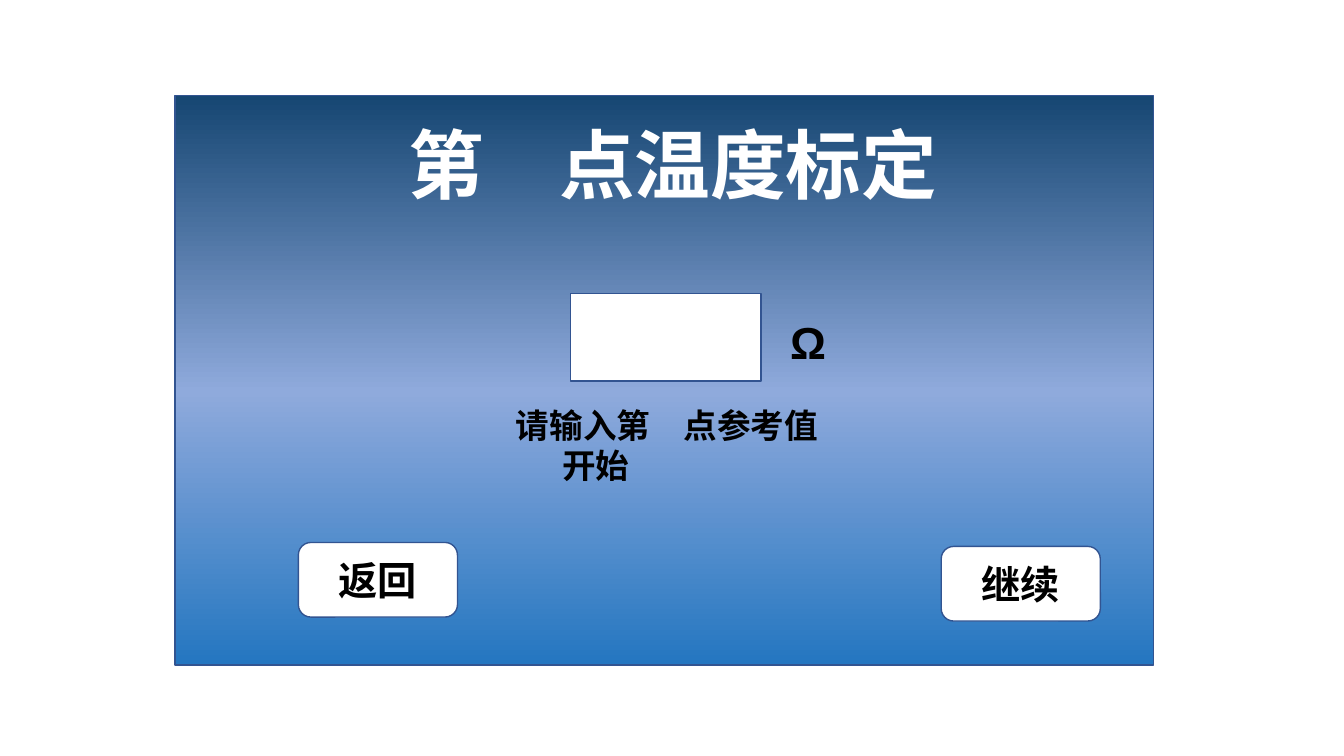
"""Build the temperature calibration screen slide."""
from copy import deepcopy
from dataclasses import dataclass

from lxml.etree import SubElement
from pptx import Presentation
from pptx.dml.color import RGBColor
from pptx.enum.shapes import MSO_SHAPE
from pptx.enum.text import MSO_ANCHOR, MSO_AUTO_SIZE, PP_ALIGN
from pptx.oxml.ns import qn
from pptx.shapes.autoshape import Shape
from pptx.slide import Slide
from pptx.text.text import TextFrame
from pptx.util import Cm, Pt

WHITE = RGBColor(0xFF, 0xFF, 0xFF)
BLACK = RGBColor(0x00, 0x00, 0x00)
OUTLINE = RGBColor(0x32, 0x54, 0x91)
NAVY = RGBColor(0x16, 0x46, 0x72)
PERIWINKLE = RGBColor(0x8F, 0xAA, 0xDC)
BLUE = RGBColor(0x24, 0x76, 0xC0)
CJK_FONT = "Noto Sans CJK SC"


@dataclass(frozen=True)
class Box:
    left: float
    top: float
    width: float
    height: float

    def lengths(self) -> tuple[Cm, Cm, Cm, Cm]:
        return Cm(self.left), Cm(self.top), Cm(self.width), Cm(self.height)


@dataclass(frozen=True)
class Line:
    text: str
    indent: float = 0


@dataclass(frozen=True)
class Style:
    size: int
    font: str = CJK_FONT
    color: RGBColor = BLACK
    align: PP_ALIGN = PP_ALIGN.LEFT


@dataclass(frozen=True)
class Label:
    box: Box
    lines: tuple[Line, ...]
    style: Style


@dataclass(frozen=True)
class Button:
    box: Box
    text: str


PANEL = Box(4.41, 2.41, 24.66, 14.35)
PANEL_STOPS = ((0, NAVY), (0.52, PERIWINKLE), (1, BLUE))
VALUE_FIELD = Box(14.38, 7.39, 4.8, 2.21)
BUTTON_STYLE = Style(28, align=PP_ALIGN.CENTER)
LABELS = (
    Label(Box(12.75, 10.08, 10.19, 2.31),
          (Line("请输入第　点参考值"), Line("开始", 1.17)), Style(24)),
    Label(Box(9.45, 2.84, 15, 2.57), (Line("第　点温度标定"),),
          Style(54, "Calibri", WHITE, PP_ALIGN.CENTER)),
    Label(Box(19.66, 7.8, 2.72, 1.63), (Line("Ω"),), Style(32, "Arial")),
)
BUTTONS = (
    Button(Box(7.52, 13.67, 4.01, 1.88), "返回"),
    Button(Box(23.72, 13.77, 4.01, 1.88), "继续"),
)


def write_lines(tf: TextFrame, lines: tuple[Line, ...], style: Style) -> None:
    for i, line in enumerate(lines):
        p = tf.add_paragraph() if i else tf.paragraphs[0]
        p.text = line.text
        p.alignment = style.align
        p.font.size = Pt(style.size)
        p.font.bold = True
        p.font.name = style.font
        p.font.color.rgb = style.color
        pPr = p._p.get_or_add_pPr()
        SubElement(pPr.find(qn("a:defRPr")), qn("a:ea"), typeface=CJK_FONT)
        if line.indent:
            pPr.set("marL", str(Cm(line.indent)))


def add_box(s: Slide, kind: MSO_SHAPE, box: Box) -> Shape:
    sp = s.shapes.add_shape(kind, *box.lengths())
    sp.shadow.inherit = False
    sp.fill.solid()
    sp.fill.fore_color.rgb = WHITE
    sp.line.color.rgb = OUTLINE
    sp.line.width = Pt(1)
    return sp


def add_panel(s: Slide) -> None:
    sp = add_box(s, MSO_SHAPE.RECTANGLE, PANEL)
    sp.fill.gradient()
    sp.fill.gradient_angle = 270
    stops = next(sp._element.spPr.iter(qn("a:gsLst")))
    stops.append(deepcopy(stops[-1]))
    for stop, (position, color) in zip(sp.fill.gradient_stops, PANEL_STOPS):
        stop.position = position
        stop.color.rgb = color


def add_label(s: Slide, label: Label) -> None:
    tf = s.shapes.add_textbox(*label.box.lengths()).text_frame
    tf.word_wrap = True
    tf.auto_size = MSO_AUTO_SIZE.SHAPE_TO_FIT_TEXT
    write_lines(tf, label.lines, label.style)


def add_button(s: Slide, button: Button) -> None:
    tf = add_box(s, MSO_SHAPE.ROUNDED_RECTANGLE, button.box).text_frame
    tf.vertical_anchor = MSO_ANCHOR.MIDDLE
    write_lines(tf, (Line(button.text),), BUTTON_STYLE)


def main() -> None:
    prs = Presentation()
    prs.slide_width, prs.slide_height = Cm(33.87), Cm(19.05)
    s = prs.slides.add_slide(prs.slide_layouts[6])
    add_panel(s)
    add_box(s, MSO_SHAPE.RECTANGLE, VALUE_FIELD)
    for label in LABELS:
        add_label(s, label)
    for button in BUTTONS:
        add_button(s, button)
    prs.save("out.pptx")


if __name__ == "__main__":
    main()
